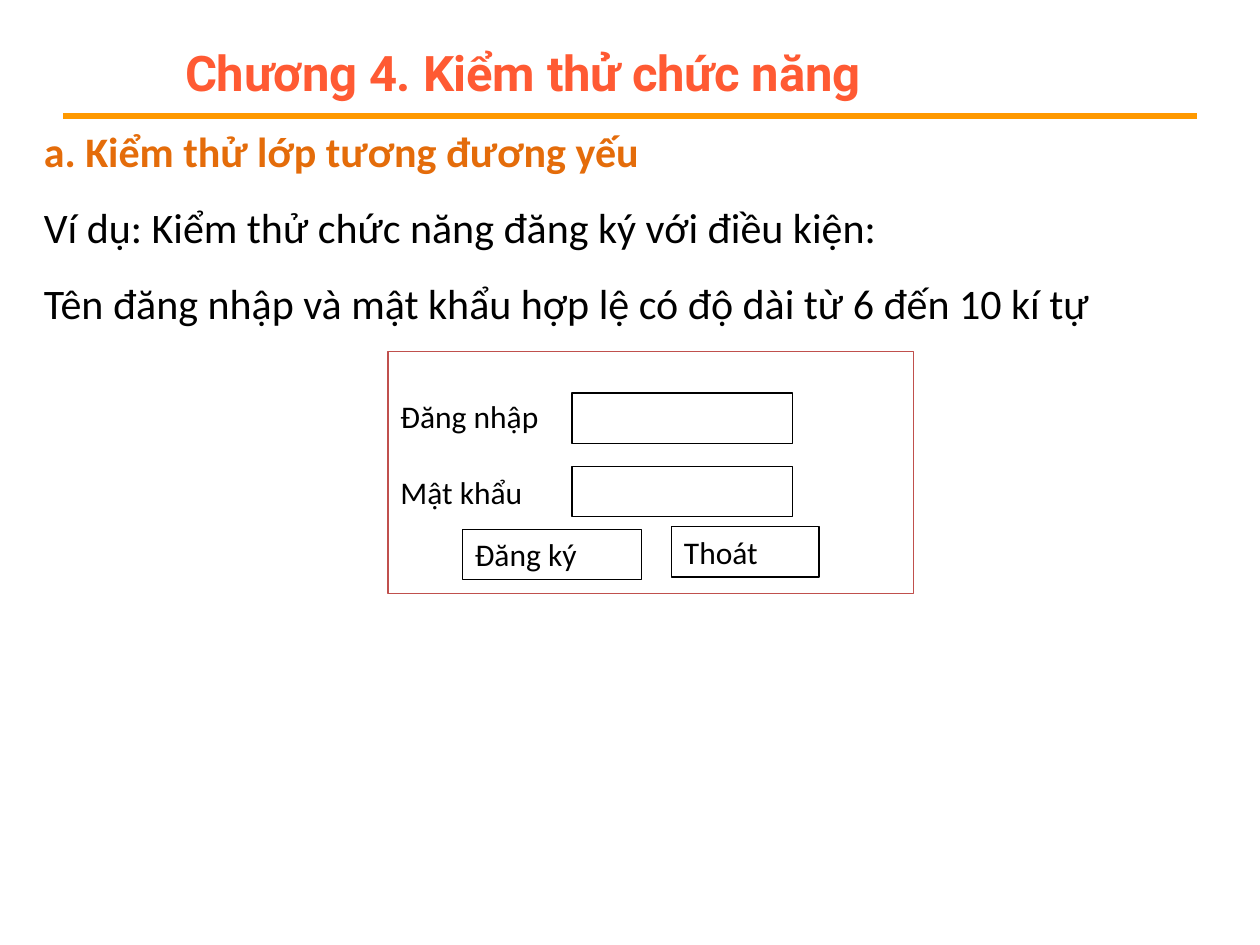
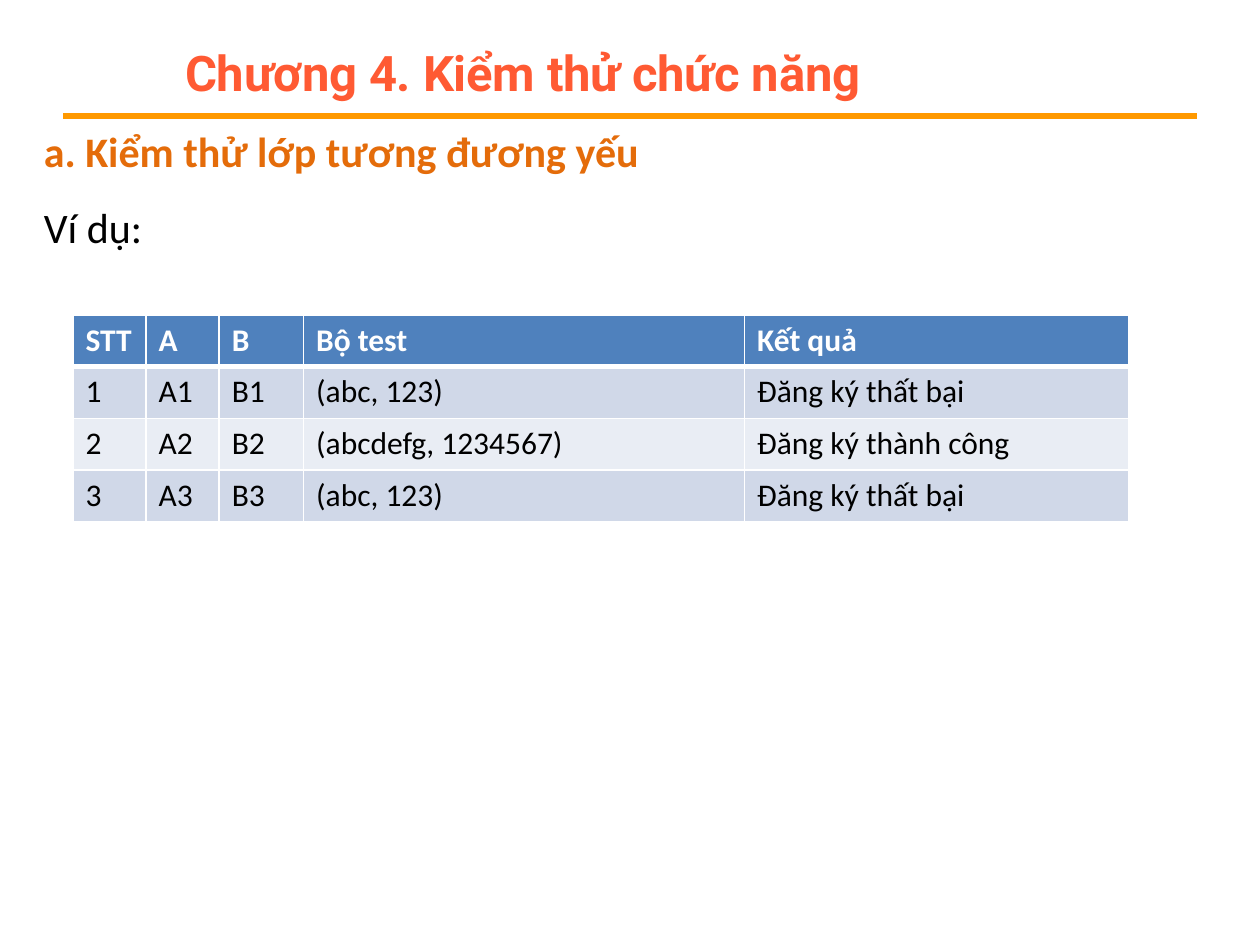
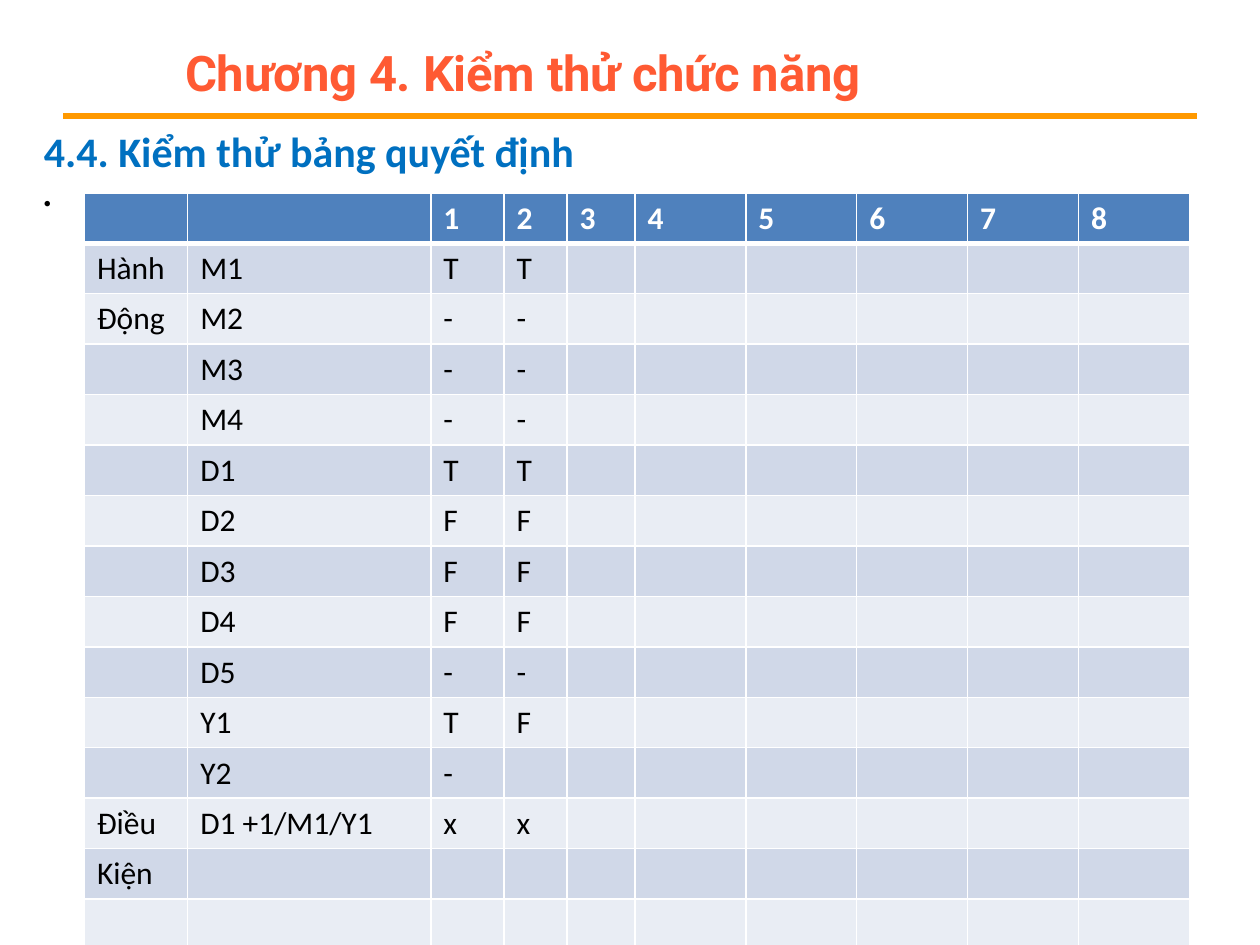
from lxml.etree import SubElement
from pptx import Presentation
from pptx.dml.color import RGBColor
from pptx.enum.shapes import MSO_CONNECTOR, MSO_SHAPE
from pptx.enum.text import MSO_ANCHOR, PP_ALIGN as AL
from pptx.oxml.ns import qn
from pptx.util import Inches, Pt

BLACK = RGBColor(0x00, 0x00, 0x00)
WHITE = RGBColor(0xFF, 0xFF, 0xFF)
TITLE_RED = RGBColor(0xFF, 0x5A, 0x33)
RULE_ORANGE = RGBColor(0xFF, 0x99, 0x00)
ORANGE = RGBColor(0xE4, 0x6C, 0x0A)
BLUE = RGBColor(0x00, 0x70, 0xC0)
FORM_RED = RGBColor(0xC0, 0x50, 0x4D)
HEADER_BLUE = RGBColor(0x4F, 0x81, 0xBD)
BANDS = RGBColor(0xD0, 0xD8, 0xE8), RGBColor(0xE9, 0xED, 0xF4)

WEAK_HEADING = "a. Kiểm thử lớp tương đương yếu"
TEST_ROWS = [
    ["STT", "A", "B", "Bộ test", "Kết quả"],
    ["1", "A1", "B1", "(abc, 123)", "Đăng ký thất bại"],
    ["2", "A2", "B2", "(abcdefg, 1234567)", "Đăng ký thành công"],
    ["3", "A3", "B3", "(abc, 123)", "Đăng ký thất bại"],
]
TEST_COLS = [0.58, 0.58, 0.67, 3.5, 3.05]
DECISION_ROWS = [
    ["", "", *"12345678"],
    ["Hành", "M1", "T", "T"],
    ["Động", "M2", "-", "-"],
    ["", "M3", "-", "-"],
    ["", "M4", "-", "-"],
    ["", "D1", "T", "T"],
    ["", "D2", "F", "F"],
    ["", "D3", "F", "F"],
    ["", "D4", "F", "F"],
    ["", "D5", "-", "-"],
    ["", "Y1", "T", "F"],
    ["", "Y2", "-"],
    ["Điều", "D1 +1/M1/Y1", "x", "x"],
    ["Kiện"],
    [],
]
DECISION_COLS = [0.82, 1.93, 0.58, 0.5, 0.54] + [0.88] * 5


def write(tf, text, size=18, font="Calibri", color=BLACK, bold=False,
          align=None, line=None, before=None):
    """Add a formatted paragraph, reusing the empty first one."""
    p = tf.paragraphs[0]
    if p.runs:
        p = tf.add_paragraph()
    p.alignment = align
    p.line_spacing = line
    p.space_before = None if before is None else Pt(before)
    r = p.add_run()
    r.text = text
    r.font.size, r.font.name = Pt(size), font
    r.font.bold, r.font.color.rgb = bold, color
    return p


def add_text_box(s, x, y, w, h):
    """Add a wrapping text box and return its frame."""
    tf = s.shapes.add_textbox(Inches(x), Inches(y), Inches(w), Inches(h)).text_frame
    tf.word_wrap = True
    return tf


def add_header(s):
    """Draw the chapter title and the rule below it."""
    rule = s.shapes.add_connector(MSO_CONNECTOR.STRAIGHT, Inches(0.5), Inches(0.92),
                                  Inches(9.5), Inches(0.92))
    rule.line.color.rgb, rule.line.width = RULE_ORANGE, Pt(3)
    SubElement(rule._element.spPr, qn("a:effectLst"))
    tf = add_text_box(s, 0.58, 0.33, 9.17, 0.48)
    tf.margin_left = tf.margin_right = tf.margin_bottom = 0
    tf.margin_top = Inches(0.01)
    p = write(tf, "Chương 4. Kiểm thử chức năng", size=28, font="Roboto",
              color=TITLE_RED, bold=True, before=0.9)
    p._p.get_or_add_pPr().set("marL", str(Inches(0.89)))
    p.runs[0].font._element.set("spc", "-10")


def add_body(s, heading, h, color=ORANGE, lines=()):
    """Write the section heading and its lines, and return the frame."""
    tf = add_text_box(s, 0.25, 0.75, 9.17, h)
    write(tf, heading, size=24, color=color, bold=True, line=1.5)
    for text in lines:
        write(tf, text, size=24, align=AL.JUSTIFY, line=1.5)
    return tf


def add_bullet(tf):
    """Add the small bullet paragraph under the heading."""
    p = write(tf, "\t", size=12, font="Times New Roman", before=10.1)
    pPr = p._p.get_or_add_pPr()
    pPr.set("marL", str(Inches(0.38)))
    pPr.set("indent", str(-Inches(0.38)))
    SubElement(pPr, qn("a:buChar"), char="•")
    tabs = SubElement(pPr, qn("a:tabLst"))
    SubElement(tabs, qn("a:tab"), pos=str(Inches(0.49)), algn="l")


def add_frame(group, x, y, w, h, text="", color=BLACK):
    """Add an unfilled outlined rectangle and return its text frame."""
    sp = group.shapes.add_shape(MSO_SHAPE.RECTANGLE, Inches(x), Inches(y),
                                Inches(w), Inches(h))
    sp.shadow.inherit = False
    sp.fill.background()
    sp.line.color.rgb, sp.line.width = color, Pt(0.75)
    tf = sp.text_frame
    tf.vertical_anchor = MSO_ANCHOR.TOP
    if text:
        write(tf, text, align=AL.LEFT)
    return tf


def add_login_form(s, x, y):
    """Draw the registration form with its fields and buttons."""
    group = s.shapes.add_group_shape()
    tf = add_frame(group, x, y, 4.17, 1.92, "Đăng nhập", FORM_RED)
    tf.margin_top = Inches(0.36)
    write(tf, "Mật khẩu", align=AL.LEFT, before=22)
    for field_y in (0.33, 0.91):
        add_frame(group, x + 1.46, y + field_y, 1.75, 0.4)
    add_frame(group, x + 2.25, y + 1.39, 1.17, 0.4, "Thoát")
    add_frame(group, x + 0.59, y + 1.41, 1.42, 0.4, "Đăng ký")


def set_borders(cell, top, bottom):
    """Give a cell white borders, with top and bottom widths in points."""
    tcPr = cell._tc.get_or_add_tcPr()
    for side, width in (("L", 1), ("R", 1), ("T", top), ("B", bottom)):
        ln = SubElement(tcPr, qn(f"a:ln{side}"), w=str(Pt(width)))
        fill = SubElement(ln, qn("a:solidFill"))
        SubElement(fill, qn("a:srgbClr"), val=str(WHITE))


def add_banded_table(s, x, y, cols, row_h, rows):
    """Draw a table with a blue header and banded rows."""
    table = s.shapes.add_table(len(rows), len(cols), Inches(x), Inches(y),
                               Inches(sum(cols)), Inches(row_h * len(rows))).table
    for column, w in zip(table.columns, cols):
        column.width = Inches(w)
    for i, row in enumerate(rows):
        table.rows[i].height = Inches(row_h)
        header = i == 0
        for j in range(len(cols)):
            cell = table.cell(i, j)
            set_borders(cell, 3 if i == 1 else 1, 3 if header else 1)
            cell.fill.solid()
            cell.fill.fore_color.rgb = HEADER_BLUE if header else BANDS[(i - 1) % 2]
            if j < len(row) and row[j]:
                write(cell.text_frame, row[j], bold=header,
                      color=WHITE if header else BLACK)


def add_slide(prs):
    """Add a blank slide with the shared header."""
    s = prs.slides.add_slide(prs.slide_layouts[6])
    add_header(s)
    return s


def main():
    """Build the three slides and save them."""
    prs = Presentation()
    prs.slide_width, prs.slide_height = Inches(10), Inches(7.5)

    s = add_slide(prs)
    add_body(s, WEAK_HEADING, 2.46, lines=[
        "Ví dụ: Kiểm thử chức năng đăng ký với điều kiện:",
        "Tên đăng nhập và mật khẩu hợp lệ có độ dài từ 6 đến 10 kí tự",
    ])
    add_login_form(s, 3.08, 2.79)

    s = add_slide(prs)
    add_body(s, WEAK_HEADING, 1.86, lines=["Ví dụ:"])
    add_banded_table(s, 0.58, 2.5, TEST_COLS, 0.41, TEST_ROWS)

    s = add_slide(prs)
    add_bullet(add_body(s, "4.4. Kiểm thử bảng quyết định", 1.05, BLUE))
    add_banded_table(s, 0.67, 1.53, DECISION_COLS, 0.4, DECISION_ROWS)

    prs.save("out.pptx")


if __name__ == "__main__":
    main()
